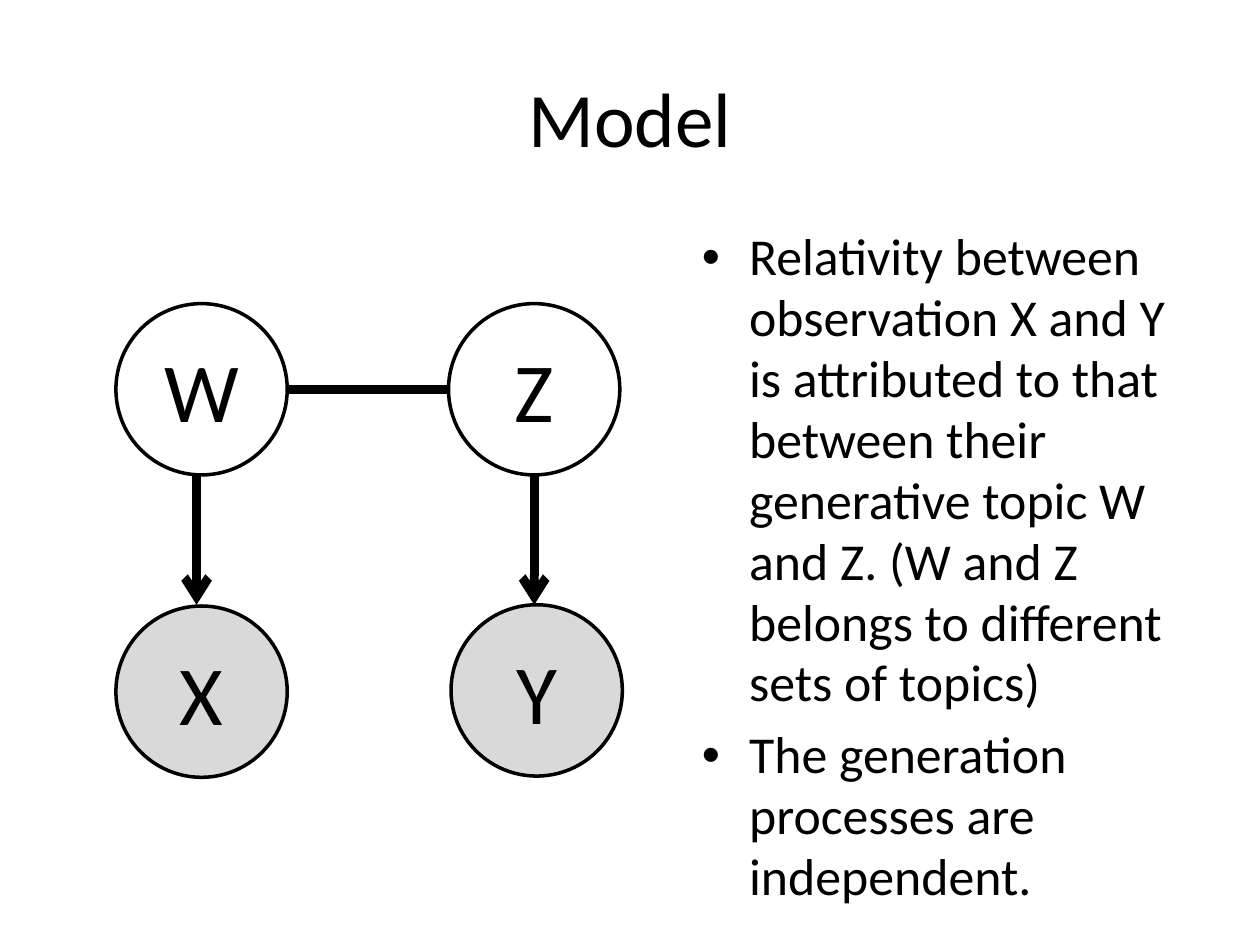
from lxml.etree import SubElement
from pptx import Presentation
from pptx.dml.color import RGBColor
from pptx.enum.shapes import MSO_CONNECTOR, MSO_SHAPE
from pptx.enum.text import MSO_ANCHOR, MSO_AUTO_SIZE, PP_ALIGN
from pptx.oxml.ns import qn
from pptx.util import Inches, Pt

TITLE = "Model"
POINTS = [
    "Relativity between observation X and Y is attributed to that between "
    "their generative topic W and Z. (W and Z belongs to different sets of topics)",
    "The generation processes are independent.",
]
COLORS = {"ink": "000000", "hidden": "FFFFFF", "seen": "D9D9D9"}
FONT = "Calibri"
SIZE = 1.36
# label, left, top, fill
NODES = [
    ("W", 0.92, 2.41, "hidden"),
    ("Z", 3.56, 2.41, "hidden"),
    ("Y", 3.58, 4.8, "seen"),
    ("X", 0.92, 4.81, "seen"),
]
# start, end, arrow
EDGES = [
    ((4.24, 3.77), (4.24, 4.8), True),
    ((1.56, 3.77), (1.56, 4.8), True),
    ((2.27, 3.09), (3.56, 3.09), False),
]


def color(name):
    """Return a named colour."""
    return RGBColor.from_string(COLORS[name])


def place(shape, *box):
    """Move and size a shape, in inches."""
    shape.left, shape.top, shape.width, shape.height = map(Inches, box)


def write(para, text, size):
    """Add one formatted run."""
    run = para.add_run()
    run.text = text
    run.font.name = FONT
    run.font.size = Pt(size)
    run.font.color.rgb = color("ink")


def add_node(slide, label, left, top, fill):
    """Draw a labelled circle."""
    node = slide.shapes.add_shape(
        MSO_SHAPE.OVAL, *map(Inches, (left, top, SIZE, SIZE)))
    node.shadow.inherit = False
    node.fill.solid()
    node.fill.fore_color.rgb = color(fill)
    node.line.color.rgb = color("ink")
    node.line.width = Pt(2)
    frame = node.text_frame
    frame.vertical_anchor = MSO_ANCHOR.MIDDLE
    para = frame.paragraphs[0]
    para.alignment = PP_ALIGN.CENTER
    write(para, label, 48)


def add_edge(slide, start, end, arrow):
    """Draw a thick line, with an arrowhead if asked."""
    edge = slide.shapes.add_connector(
        MSO_CONNECTOR.STRAIGHT, *map(Inches, start + end))
    edge.line.color.rgb = color("ink")
    edge.line.width = Pt(5)
    if arrow:
        SubElement(edge.line._get_or_add_ln(), qn("a:tailEnd"), type="arrow")
    SubElement(edge._element.spPr, qn("a:effectLst"))


deck = Presentation()
deck.slide_width, deck.slide_height = Inches(10), Inches(7.5)
slide = deck.slides.add_slide(deck.slide_layouts[1])

title, body = slide.placeholders
place(title, 0.5, 0.3, 9, 1.25)
head = title.text_frame.paragraphs[0]
head.alignment = PP_ALIGN.CENTER
write(head, TITLE, 44)

place(body, 5.47, 1.75, 4.03, 5.15)
frame = body.text_frame
frame.auto_size = MSO_AUTO_SIZE.NONE
for i, point in enumerate(POINTS):
    para = frame.add_paragraph() if i else frame.paragraphs[0]
    para.line_spacing = 0.98
    write(para, point, 29.6)

for node in NODES:
    add_node(slide, *node)
for edge in EDGES:
    add_edge(slide, *edge)

deck.save("out.pptx")
